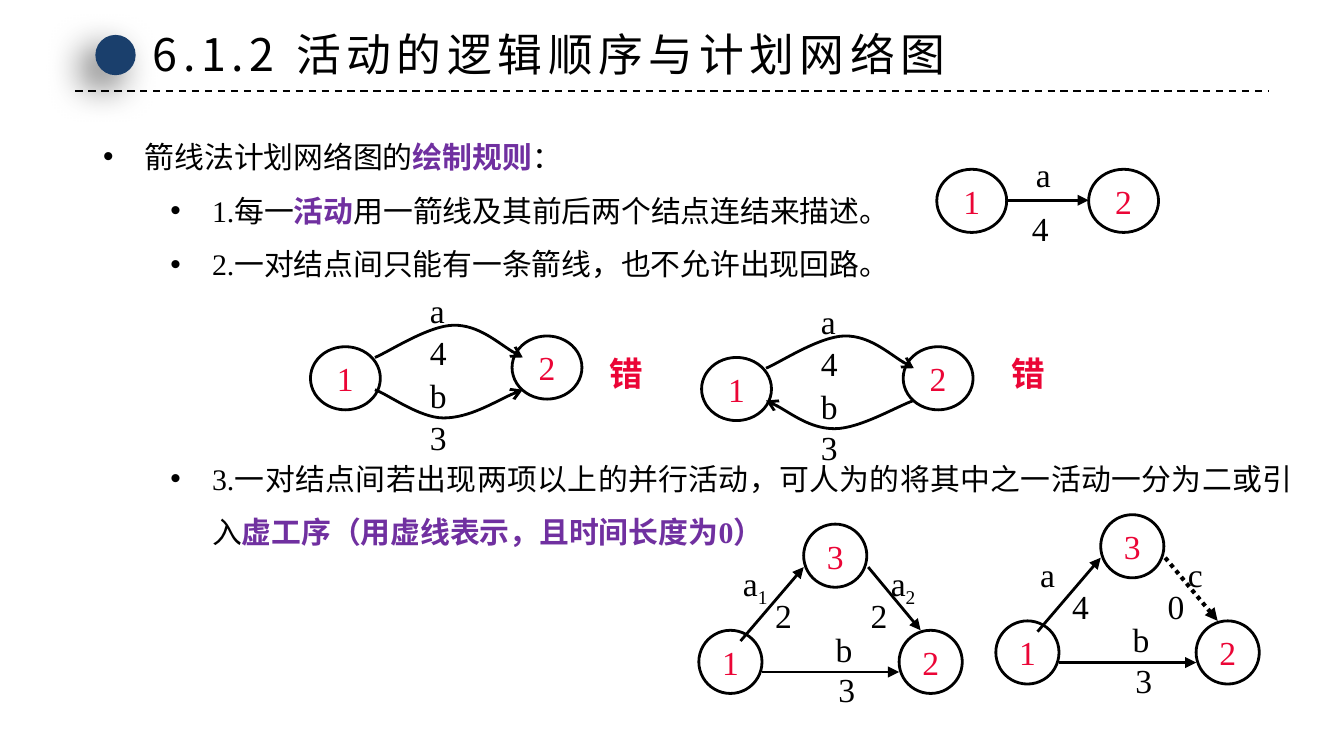
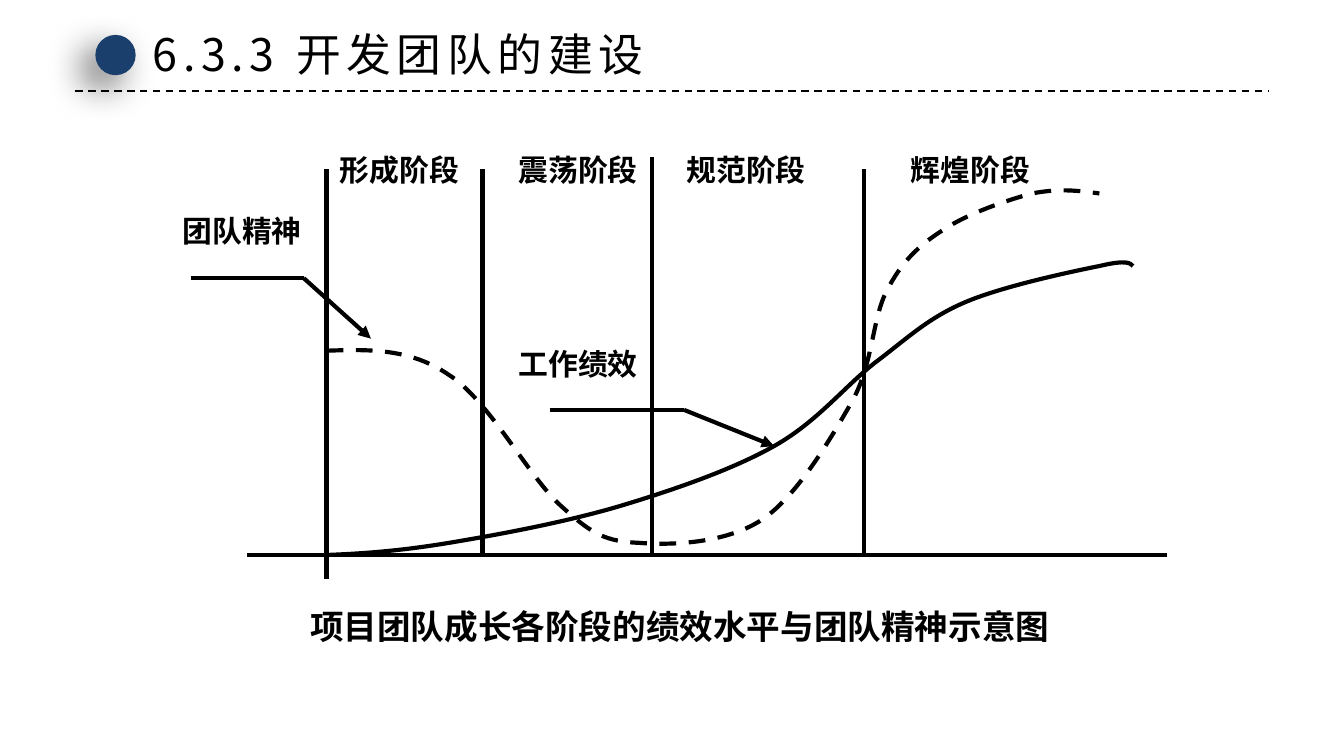
from lxml import etree
from pptx import Presentation
from pptx.dml import color
from pptx.enum import dml, shapes, text
from pptx.oxml import ns
from pptx.util import Inches, Pt

BLACK, NAVY, RED, PURPLE = "000000", "1A3F6C", "EB0536", "7030A0"
LATIN, CJK = "Times New Roman", "Noto Sans CJK SC"
DASH, DOT = dml.MSO_LINE.DASH, dml.MSO_LINE.ROUND_DOT


def rgb(value):
    return color.RGBColor.from_string(value)


def add_xml(parent, tag, **attributes):
    return etree.SubElement(parent, ns.qn(tag), attributes)


def write(paragraph, content, size=18, font=LATIN, fill=BLACK, bold=False, **properties):
    run = paragraph.add_run()
    run.text = content
    run.font.size = Pt(size)
    run.font.name = font
    run.font.bold = bold
    run.font.color.rgb = rgb(fill)
    run_properties = run.font._element
    for name, value in properties.items():
        run_properties.set(name, str(value))
    add_xml(run_properties, "a:ea", typeface=CJK)


class Deck:
    def __init__(self):
        self.presentation = Presentation()
        self.presentation.slide_width = Inches(10)
        self.presentation.slide_height = Inches(10) * 9 // 16
        self.slide = None

    def start_slide(self, title, title_width):
        self.slide = self.presentation.slides.add_slide(self.presentation.slide_layouts[6])
        self.line((0.56, 0.68), (9.44, 0.68), 1, dash=DASH)
        dot = self.ellipse(0.71, 0.26, 0.3, 0.3)
        dot.fill.solid()
        dot.fill.fore_color.rgb = rgb(NAVY)
        dot.line.fill.background()
        effects = dot.element.spPr.find(ns.qn("a:effectLst"))
        shadow = add_xml(effects, "a:outerShdw", blurRad=str(Pt(20)), dist=str(Pt(10)),
                         dir="8100000", algn="tr", rotWithShape="0")
        shade = add_xml(shadow, "a:srgbClr", val=BLACK)
        add_xml(shade, "a:alpha", val="60000")
        self.label(title, 1.04, 0.15, title_width, 0.5, size=24, font=CJK, spc=300)

    def ellipse(self, left, top, width, height):
        shape = self.slide.shapes.add_shape(
            shapes.MSO_SHAPE.OVAL, Inches(left), Inches(top), Inches(width), Inches(height))
        shape.shadow.inherit = False
        return shape

    def outline(self, shape, width, dash=None, head=None, tail=None):
        shape.line.color.rgb = rgb(BLACK)
        shape.line.width = Pt(width)
        if dash:
            shape.line.dash_style = dash
        line = shape.element.spPr.find(ns.qn("a:ln"))
        for tag, kind in (("a:headEnd", head), ("a:tailEnd", tail)):
            if kind:
                add_xml(line, tag, type=kind)

    def line(self, start, end, width, **ends):
        connector = self.slide.shapes.add_connector(
            shapes.MSO_CONNECTOR.STRAIGHT, *map(Inches, (*start, *end)))
        self.outline(connector, width, **ends)
        add_xml(connector.element.spPr, "a:effectLst")

    def arrow(self, start, end, width=1.5, dash=None):
        self.line(start, end, width, dash=dash, tail="triangle")

    def curve(self, points, width, **ends):
        start, *rest = [(Inches(x), Inches(y)) for x, y in points]
        builder = self.slide.shapes.build_freeform(*start)
        builder.add_line_segments(rest, close=False)
        shape = builder.convert_to_shape()
        route = shape.element.find(".//" + ns.qn("a:path"))
        segments = route.findall(ns.qn("a:lnTo"))
        for first in range(0, len(segments), 3):
            bezier = add_xml(route, "a:cubicBezTo")
            for segment in segments[first:first + 3]:
                bezier.append(segment[0])
                route.remove(segment)
        shape.shadow.inherit = False
        shape.fill.background()
        self.outline(shape, width, **ends)

    def node(self, number, left, top, width=0.52):
        shape = self.ellipse(left, top, width, 0.47)
        shape.fill.background()
        self.outline(shape, 1.5)
        frame = shape.text_frame
        frame.word_wrap = False
        frame.vertical_anchor = text.MSO_ANCHOR.MIDDLE
        frame.paragraphs[0].alignment = text.PP_ALIGN.CENTER
        write(frame.paragraphs[0], number, fill=RED)

    def text_box(self, left, top, width, height, wrap):
        frame = self.slide.shapes.add_textbox(*map(Inches, (left, top, width, height))).text_frame
        frame.word_wrap = wrap
        frame.auto_size = text.MSO_AUTO_SIZE.SHAPE_TO_FIT_TEXT
        return frame

    def label(self, content, left, top, width=0.34, height=0.4, wrap=False, subscript="", **style):
        paragraph = self.text_box(left, top, width, height, wrap).paragraphs[0]
        write(paragraph, content, **style)
        if subscript:
            write(paragraph, subscript, baseline=-25000, **style)

    def bullets(self, items, left, top, width, height):
        frame = self.text_box(left, top, width, height, True)
        for index, (level, gap, runs) in enumerate(items):
            paragraph = frame.add_paragraph() if index else frame.paragraphs[0]
            properties = paragraph._p.get_or_add_pPr()
            properties.set("marL", str(Inches(0.31 + 0.5 * level)))
            properties.set("indent", str(Inches(-0.31)))
            add_xml(properties, "a:buFont", typeface="Arial")
            add_xml(properties, "a:buChar", char="•")
            paragraph.level = level
            paragraph.alignment = text.PP_ALIGN.JUSTIFY
            paragraph.line_spacing = 1.5
            if gap:
                paragraph.space_before = Pt(gap)
            for content, strong in runs:
                write(paragraph, content, size=16, bold=strong, fill=PURPLE if strong else BLACK)

    def parallel_network(self, left, top, lower_ends):
        self.node("1", left, top + 0.08)
        self.node("2", left + 1.5, top)
        for content, offset in (("a", -0.39), ("4", -0.08), ("b", 0.24), ("3", 0.55)):
            self.label(content, left + 0.79, top + offset, 0.31 if content == "a" else 0.34)
        upper = [(0.48, 0.16), (0.58, 0.12), (0.88, -0.08), (1.07, -0.08),
                 (1.25, -0.08), (1.47, 0.11), (1.58, 0.16)]
        lower = [(0.48, 0.4), (0.57, 0.43), (0.81, 0.61), (0.99, 0.61),
                 (1.18, 0.61), (1.46, 0.44), (1.58, 0.4)]
        for points, ends in ((upper, {"tail": "arrow"}), (lower, lower_ends)):
            self.curve([(left + x, top + y) for x, y in points], 1.5, **ends)

    def triangle_network(self, left, top, first, second, last_arrow):
        for number, x, y in (("1", 0, 0.79), ("2", 1.49, 0.79), ("3", 0.78, 0)):
            self.node(number, left + x, top + y, 0.47)
        for start, end, style in (
            ((0.47, 1.1), (1.49, 1.1), {}),
            ((0.31, 0.87), (0.78, 0.32), {}),
            ((1.26, 0.32), (1.65, 0.79), last_arrow),
        ):
            self.arrow((left + start[0], top + start[1]), (left + end[0], top + end[1]), **style)
        self.label("b", left + 0.92, top + 0.73)
        self.label("3", left + 0.94, top + 1.03)
        for (name, subscript, duration), name_x, duration_x in (
            (first, 0.23, 0.47), (second, 1.33, 1.18),
        ):
            self.label(name, left + name_x, top + 0.24, 0.4 if subscript else 0.32,
                       subscript=subscript)
            self.label(duration, left + duration_x, top + 0.48)


def build_network_slide(deck):
    deck.start_slide("6.1.2 活动的逻辑顺序与计划网络图", 6.23)
    deck.bullets([
        (0, 0, [("箭线法计划网络图的", False), ("绘制规则", True), ("：", False)]),
        (1, 0, [("1.每一", False), ("活动", True),
                ("用一箭线及其前后两个结点连结来描述。", False)]),
        (1, 0, [("2.一对结点间只能有一条箭线，也不允许出现回路。", False)]),
        (1, 86, [("3.一对结点间若出现两项以上的并行活动，可人为的将其中之一活动一分为二或引入", False),
                 ("虚工序（用虚线表示，且时间长度为0）", True)]),
    ], 0.67, 0.85, 9.06, 3.29)

    deck.node("1", 6.97, 1.26)
    deck.node("2", 8.1, 1.26)
    deck.arrow((7.49, 1.49), (8.1, 1.49))
    deck.label("a", 7.61, 1.1, 0.31)
    deck.label("4", 7.58, 1.5)

    deck.parallel_network(2.31, 2.5, {"tail": "arrow"})
    deck.parallel_network(5.22, 2.58, {"head": "arrow"})
    for left in (4.44, 7.43):
        deck.label("错", left, 2.58, 0.46, fill=RED, bold=True)

    deck.triangle_network(5.2, 3.9, ("a", "1", "2"), ("a", "2", "2"), {})
    deck.triangle_network(7.41, 3.83, ("a", "", "4"), ("c", "", "0"), {"width": 2.25, "dash": DOT})


def build_team_slide(deck):
    deck.start_slide("6.3.3 开发团队的建设", 3.96)
    weight, base = 2.25, 4.13
    deck.line((1.84, base), (8.68, base), weight)
    for x, top, bottom in ((2.43, 1.26, 4.31), (3.59, 1.26, base),
                           (4.85, 1.17, base), (6.43, 1.26, base)):
        deck.line((x, top), (x, bottom), weight)

    for content, left, top, width in (
        ("形成阶段", 2.43, 1.08, 1.17),
        ("震荡阶段", 3.76, 1.08, 1.17),
        ("规范阶段", 5.01, 1.08, 1.17),
        ("辉煌阶段", 6.68, 1.08, 1.17),
        ("团队精神", 1.26, 1.53, 1.25),
        ("工作绩效", 3.76, 2.52, 1.34),
    ):
        deck.label(content, left, top, width, 0.37, wrap=True, size=16, bold=True)

    for start, bend, end in (
        ((1.42, 2.07), (2.26, 2.07), (2.76, 2.52)),
        ((4.09, 3.05), (5.09, 3.05), (5.76, 3.32)),
    ):
        deck.line(start, bend, weight)
        deck.arrow(bend, end, weight)

    performance = [
        (2.43, 4.13), (2.7, 4.12), (2.98, 4.1), (3.34, 4.04), (3.7, 3.98), (4.19, 3.89),
        (4.6, 3.77), (5, 3.65), (5.44, 3.5), (5.76, 3.32), (6.08, 3.14), (6.28, 2.88),
        (6.51, 2.7), (6.75, 2.52), (6.9, 2.37), (7.18, 2.25), (7.46, 2.13), (7.98, 2.02),
        (8.18, 1.98), (8.39, 1.93), (8.41, 1.96), (8.43, 1.98),
    ]
    spirit = [
        (2.43, 2.61), (2.74, 2.6), (3.05, 2.59), (3.34, 2.79), (3.64, 2.98), (3.94, 3.56),
        (4.18, 3.77), (4.41, 3.98), (4.51, 4.03), (4.76, 4.04), (5.01, 4.06), (5.42, 4.04),
        (5.68, 3.86), (5.94, 3.68), (6.19, 3.25), (6.35, 2.97), (6.5, 2.68), (6.49, 2.37),
        (6.6, 2.16), (6.71, 1.95), (6.83, 1.83), (7.02, 1.71), (7.2, 1.59), (7.49, 1.49),
        (7.68, 1.44), (7.88, 1.4), (8.03, 1.42), (8.18, 1.44),
    ]
    deck.curve(performance, weight)
    deck.curve(spirit, weight, dash=DASH)
    deck.label("项目团队成长各阶段的绩效水平与团队精神示意图", 2.21, 4.46, 5.76, wrap=True, bold=True)


def main():
    deck = Deck()
    build_network_slide(deck)
    build_team_slide(deck)
    deck.presentation.save("out.pptx")


if __name__ == "__main__":
    main()
